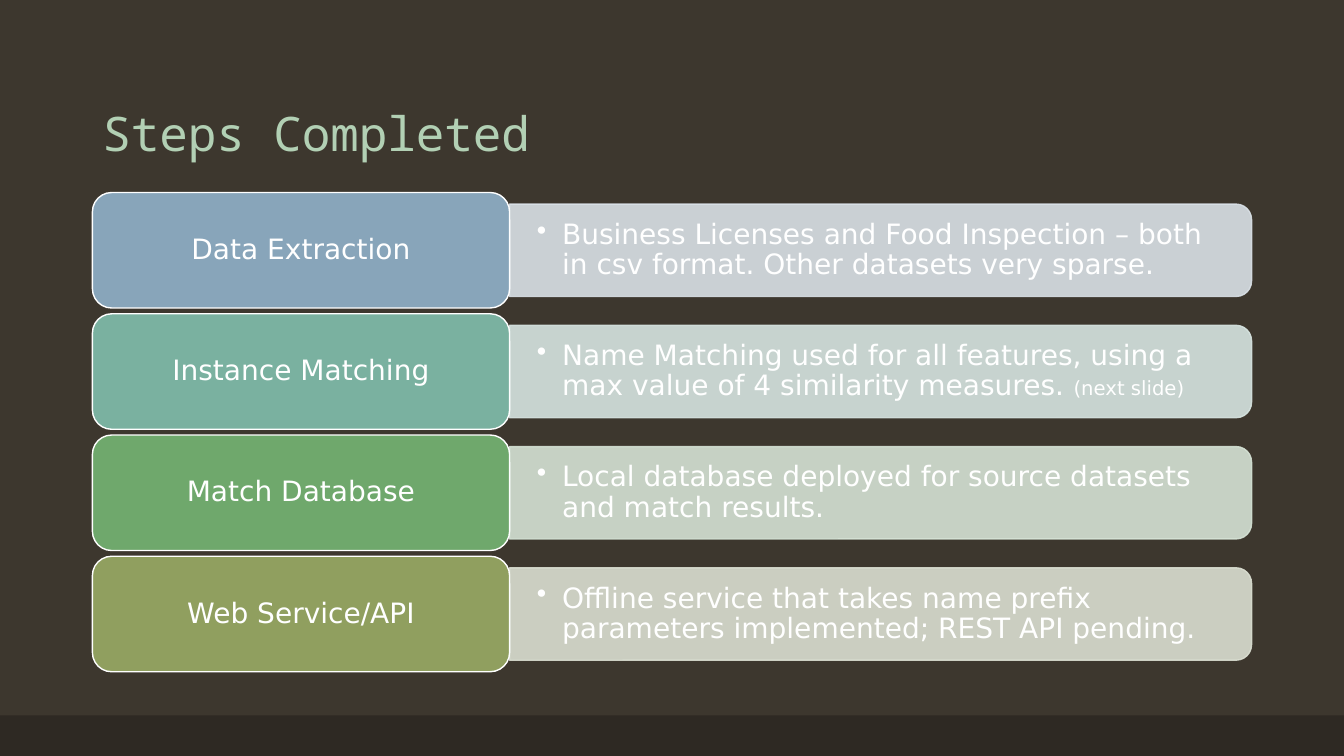
"""Build the "Steps Completed" slide: four coloured step labels with detail panels."""
import dataclasses

import lxml.etree
import pptx
import pptx.dml.color
import pptx.enum.shapes
import pptx.enum.text
import pptx.oxml.ns
import pptx.util

Pt = pptx.util.Pt
Shape = pptx.enum.shapes.MSO_SHAPE
Align = pptx.enum.text.PP_ALIGN
Anchor = pptx.enum.text.MSO_ANCHOR
color = pptx.dml.color.RGBColor.from_string
qualified = pptx.oxml.ns.qn


@dataclasses.dataclass(frozen=True)
class Theme:
    background: str = "3D372E"
    footer: str = "2E2923"
    title: str = "B2D0B4"
    text: str = "FFFFFF"
    title_font: str = "Noto Sans Mono"
    body_font: str = "DejaVu Sans"
    title_size: int = 34
    body_size: int = 20
    note_size: int = 14


theme = Theme()


def write(box, *pieces, font=theme.body_font, ink=theme.text, align=Align.LEFT,
          anchor=Anchor.MIDDLE, spacing=0.9, inset=(7.2, 3.6), bullet=False):
    """Fill a box with one paragraph made of (text, size) pieces."""
    frame = box.text_frame
    frame.word_wrap = True
    frame.auto_size = pptx.enum.text.MSO_AUTO_SIZE.NONE
    frame.vertical_anchor = anchor
    frame.margin_left = frame.margin_right = Pt(inset[0])
    frame.margin_top = frame.margin_bottom = Pt(inset[1])
    para = frame.paragraphs[0]
    para.alignment = align
    para.line_spacing = spacing
    for text, size in pieces:
        span = para.add_run()
        span.text = text
        span.font.name = font
        span.font.size = Pt(size)
        span.font.color.rgb = color(ink)
    if bullet:
        properties = para._p.get_or_add_pPr()
        properties.set("marL", str(Pt(18)))
        properties.set("indent", str(Pt(-18)))
        lxml.etree.SubElement(properties, qualified("a:buChar"), char="•")


def add_block(kind, left, top, width, height, fill, line=None, opacity=100):
    """Add a filled shape with an optional outline and opacity in percent."""
    block = page.shapes.add_shape(kind, Pt(left), Pt(top), Pt(width), Pt(height))
    block.shadow.inherit = False
    block.fill.solid()
    block.fill.fore_color.rgb = color(fill)
    if line:
        block.line.width = Pt(1)
        block.line.color.rgb = color(line)
    else:
        block.line.fill.background()
    if opacity < 100:
        for swatch in block._element.spPr.iter(qualified("a:srgbClr")):
            lxml.etree.SubElement(swatch, qualified("a:alpha"), val=str(opacity * 1000))
    return block


deck = pptx.Presentation()
deck.slide_width, deck.slide_height = Pt(960), Pt(540)
page = deck.slides.add_slide(deck.slide_layouts[5])
page.background.fill.solid()
page.background.fill.fore_color.rgb = color(theme.background)

add_block(Shape.RECTANGLE, 0, 511, 960, 29, theme.footer)

title = page.shapes.title
title.left, title.top, title.width, title.height = Pt(66), Pt(28.8), Pt(828), Pt(90)
write(title, ("Steps Completed", theme.title_size), font=theme.title_font,
      ink=theme.title, anchor=Anchor.BOTTOM, spacing=1.5)

steps = [
    ("Data Extraction", "88A5BA", "DAE1E7",
     [("Business Licenses and Food Inspection – both in csv format. "
       "Other datasets very sparse.", theme.body_size)]),
    ("Instance Matching", "7AB1A0", "D7E4E1",
     [("Name Matching used for all features, using a max value of 4 "
       "similarity measures. ", theme.body_size), ("(next slide)", theme.note_size)]),
    ("Match Database", "6FA86C", "D5E2D5",
     [("Local database deployed for source datasets and match results.", theme.body_size)]),
    ("Web Service/API", "909F5F", "DBDFD2",
     [("Offline service that takes name prefix parameters implemented; "
       "REST API pending.", theme.body_size)]),
]
label_left, label_width, label_height = 66, 298, 82.5
panel_left, panel_width, panel_height = label_left + label_width, 530, 66
first_middle, row_pitch = 178.8, 86.6
detail_width, detail_height = 527, 60

for row, (name, label_fill, panel_fill, details) in enumerate(steps):
    middle = first_middle + row * row_pitch
    panel = add_block(Shape.ROUND_2_SAME_RECTANGLE,
                      panel_left + (panel_width - panel_height) / 2, middle - panel_width / 2,
                      panel_height, panel_width, panel_fill, line=panel_fill, opacity=90)
    panel.rotation = 90
    detail = page.shapes.add_textbox(Pt(panel_left), Pt(middle - detail_height / 2),
                                     Pt(detail_width), Pt(detail_height))
    write(detail, *details, inset=(19.5, 9.75), bullet=True)
    label = add_block(Shape.ROUNDED_RECTANGLE, label_left, middle - label_height / 2,
                      label_width, label_height, label_fill, line=theme.text)
    write(label, (name, theme.body_size), align=Align.CENTER, inset=(6, 3))

deck.save("out.pptx")
